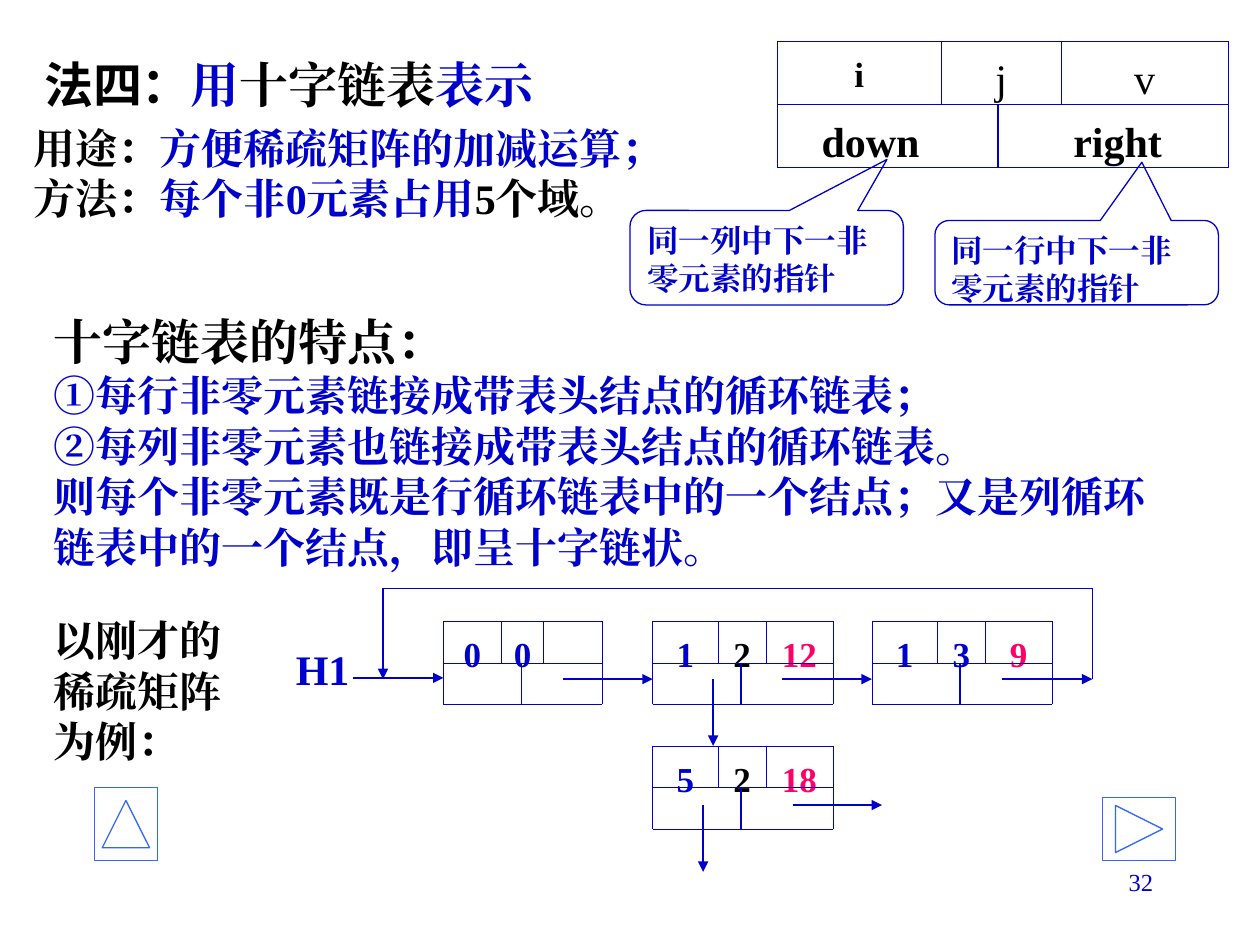
import pptx
import pptx.util
import pptx.dml.color
import pptx.enum.shapes
import pptx.enum.text
import pptx.oxml.ns
import lxml.etree
from dataclasses import dataclass

Inches = pptx.util.Inches
Anchor = pptx.enum.text.MSO_ANCHOR
Align = pptx.enum.text.PP_ALIGN
AutoSize = pptx.enum.text.MSO_AUTO_SIZE
Shapes = pptx.enum.shapes.MSO_SHAPE


@dataclass(frozen=True)
class Theme:
    font: str = "Times New Roman"
    title_font: str = "Noto Sans CJK SC"
    black: str = "000000"
    blue: str = "0000CC"
    pink: str = "FF0066"
    button: str = "3366FF"
    title: int = 28
    body: int = 24
    cell: int = 20
    note: int = 18
    number: int = 14
    hairline: float = 0.25
    line: float = 0.75


THEME = Theme()
BLACK, BLUE, PINK = THEME.black, THEME.blue, THEME.pink

TITLE = [("法四：", BLACK), ("用", BLUE), ("十字链表", BLACK), ("表示", BLUE)]

TEXTS = [
    ((0.17, 0.92, 5.25, 0.9), [
        (THEME.body, [("用途：", BLACK), ("方便稀疏矩阵的加减运算；", BLUE)]),
        (THEME.body, [("方法：", BLACK), ("每个非0元素占用", BLUE), ("5个域。", BLACK)]),
    ]),
    ((0.33, 2.42, 9, 2.16), [
        (THEME.title, [("十字链表的特点：", BLACK)]),
        (THEME.body, [("①每行非零元素链接成带表头结点的循环链表；", BLUE)]),
        (THEME.body, [("②每列非零元素也链接成带表头结点的循环链表。", BLUE)]),
        (THEME.body, [("则每个非零元素既是行循环链表中的一个结点；又是列循环链表中的一个结点，即呈十字链状。", BLUE)]),
    ]),
    ((0.33, 4.83, 1.58, 1.3), [(THEME.body, [("以刚才的稀疏矩阵为例：", BLACK)])]),
]

CALLOUTS = [
    ((5, 1.67, 2.17, 0.75), (0.44, -1.04, 0.17), "同一列中下一非零元素的指针"),
    ((7.42, 1.75, 2.25, 0.67), (0.23, -1.19, 0.17), "同一行中下一非零元素的指针"),
]

FIELD_LABELS = [
    ("i", THEME.cell, True),
    ("j", THEME.body, False),
    ("v", THEME.body, False),
]
POINTER_LABELS = [("down", 6.17, 2.25, 0.35), ("right", 8.42, 1.33, 0.1)]
FIELD_NODE = dict(left=6.17, top=0.33, widths=(1.3, 0.95, 1.33), divider=1.75, row=0.5)

HEAD_WIDTHS, HEAD_DIVIDER = (0.46, 0.33, 0.47), 0.62
ITEM_WIDTHS, ITEM_DIVIDER = (0.52, 0.38, 0.53), 0.7
ROW = 0.33
NODES = [
    (3.52, 4.93, HEAD_WIDTHS, HEAD_DIVIDER, [("0", BLUE), ("0", BLUE)]),
    (5.18, 4.93, ITEM_WIDTHS, ITEM_DIVIDER, [("1", BLUE), ("2", BLACK), ("12", PINK)]),
    (6.92, 4.93, ITEM_WIDTHS, ITEM_DIVIDER, [("1", BLUE), ("3", BLUE), ("9", PINK)]),
    (5.18, 5.92, ITEM_WIDTHS, ITEM_DIVIDER, [("5", BLUE), ("2", BLACK), ("18", PINK)]),
]

ARROW_PATHS = [
    [(2.8, 5.38), (3.52, 5.38)],
    [(4.47, 5.39), (5.18, 5.39)],
    [(6.21, 5.39), (6.92, 5.39)],
    [(7.95, 5.39), (8.67, 5.39)],
    [(8.67, 5.39), (8.67, 4.67), (3.04, 4.67), (3.04, 5.39)],
    [(5.66, 5.39), (5.66, 5.92)],
    [(5.58, 6.39), (5.58, 6.92)],
    [(6.29, 6.39), (7, 6.39)],
]

BUTTONS = [((8.75, 6.33, 0.58, 0.5), 0, False), ((0.71, 6.29, 0.58, 0.5), 90, True)]


def color(value):
    return pptx.dml.color.RGBColor.from_string(value)


def add_runs(paragraph, runs, size, bold=True, font=THEME.font):
    paragraph.font.size = pptx.util.Pt(size)
    paragraph.font.bold = bold
    paragraph.font.name = font
    for text, run_color in runs:
        run = paragraph.add_run()
        run.text = text
        run.font.color.rgb = color(run_color)
        run.font.name = font
        east_asian = lxml.etree.SubElement(run.font._element, pptx.oxml.ns.qn("a:ea"))
        east_asian.set("typeface", font)


def add_text(slide, box, paragraphs, align=Align.LEFT, bold=True, top=0.05, left=0.1,
             wrap=True, grow=False):
    shape = slide.shapes.add_textbox(*map(Inches, box))
    frame = shape.text_frame
    frame.word_wrap = wrap
    frame.auto_size = AutoSize.SHAPE_TO_FIT_TEXT if grow else AutoSize.NONE
    frame.margin_top, frame.margin_left = Inches(top), Inches(left)
    for index, (size, runs) in enumerate(paragraphs):
        paragraph = frame.add_paragraph() if index else frame.paragraphs[0]
        paragraph.alignment = align
        add_runs(paragraph, runs, size, bold)


def add_cell(slide, box, text, size, text_color=BLACK, align=Align.CENTER, bold=True, left=0.1):
    add_text(slide, box, [(size, [(text, text_color)])], align, bold, top=0.09, left=left)


def add_line(slide, start, end, width=THEME.hairline, arrow=False):
    connector = slide.shapes.add_connector(
        pptx.enum.shapes.MSO_CONNECTOR.STRAIGHT, *map(Inches, start + end))
    connector.line.color.rgb = color(BLUE)
    connector.line.width = pptx.util.Pt(width)
    if arrow:
        tail = lxml.etree.SubElement(connector.line._get_or_add_ln(), pptx.oxml.ns.qn("a:tailEnd"))
        tail.set("type", "triangle")
    lxml.etree.SubElement(connector._element.spPr, pptx.oxml.ns.qn("a:effectLst"))


def add_node(slide, left, top, widths, divider, row):
    right, middle, bottom = left + sum(widths), top + row, top + 2 * row
    for y in (top, middle, bottom):
        add_line(slide, (left, y), (right, y))
    for x in (left, right):
        add_line(slide, (x, top), (x, bottom))
    for x in (left + widths[0], left + widths[0] + widths[1]):
        add_line(slide, (x, top), (x, middle))
    add_line(slide, (left + divider, middle), (left + divider, bottom), THEME.line)


def cell_boxes(left, top, widths, row):
    return [(left + sum(widths[:index]), top, width, row) for index, width in enumerate(widths)]


def add_outline(slide, preset, box, line_color):
    shape = slide.shapes.add_shape(preset, *map(Inches, box))
    shape.shadow.inherit = False
    shape.fill.background()
    shape.line.color.rgb = color(line_color)
    shape.line.width = pptx.util.Pt(THEME.line)
    return shape


def main():
    presentation = pptx.Presentation()
    presentation.slide_width, presentation.slide_height = Inches(10), Inches(7.5)
    slide = presentation.slides.add_slide(presentation.slide_layouts[5])

    title = slide.shapes.title
    title.left, title.top, title.width, title.height = map(Inches, (0.25, 0.33, 4.5, 0.67))
    title.text_frame.auto_size = AutoSize.NONE
    title.text_frame.vertical_anchor = Anchor.MIDDLE
    title_paragraph = title.text_frame.paragraphs[0]
    title_paragraph.alignment = Align.LEFT
    add_runs(title_paragraph, TITLE[:1], THEME.title, font=THEME.title_font)
    add_runs(title_paragraph, TITLE[1:], THEME.title)

    for box, paragraphs in TEXTS:
        add_text(slide, box, paragraphs, grow=True)
    add_text(slide, (2.25, 5.06, 0.63, 0.5), [(THEME.body, [("H1", BLUE)])], wrap=False, grow=True)
    add_text(slide, (7.17, 6.83, 2.08, 0.5), [(THEME.number, [("32", BLUE)])], Align.RIGHT, bold=False)

    field_boxes = cell_boxes(FIELD_NODE["left"], FIELD_NODE["top"], FIELD_NODE["widths"], FIELD_NODE["row"])
    for box, (text, size, bold) in zip(field_boxes, FIELD_LABELS):
        add_cell(slide, box, text, size, bold=bold)
    for text, left, width, inset in POINTER_LABELS:
        add_cell(slide, (left, 0.83, width, 0.5), text, THEME.body, align=Align.LEFT, left=inset)
    add_node(slide, **FIELD_NODE)

    for box, adjustments, text in CALLOUTS:
        callout = add_outline(slide, Shapes.ROUNDED_RECTANGULAR_CALLOUT, box, BLUE)
        for index, value in enumerate(adjustments):
            callout.adjustments[index] = value
        callout.text_frame.word_wrap = True
        callout.text_frame.vertical_anchor = Anchor.TOP
        callout.text_frame.paragraphs[0].alignment = Align.LEFT
        add_runs(callout.text_frame.paragraphs[0], [(text, BLUE)], THEME.note)

    for left, top, widths, divider, labels in NODES:
        for box, (text, text_color) in zip(cell_boxes(left, top, widths, ROW), labels):
            add_cell(slide, box, text, THEME.cell, text_color)
        add_node(slide, left, top, widths, divider, ROW)

    for points in ARROW_PATHS:
        for start, end in zip(points, points[1:]):
            add_line(slide, start, end, THEME.line, arrow=end == points[-1])

    for box, rotation, flipped in BUTTONS:
        button = add_outline(slide, Shapes.ACTION_BUTTON_FORWARD_OR_NEXT, box, THEME.button)
        button.rotation = rotation
        if flipped:
            button._element.spPr.xfrm.set("flipH", "1")

    presentation.save("out.pptx")


if __name__ == "__main__":
    main()
